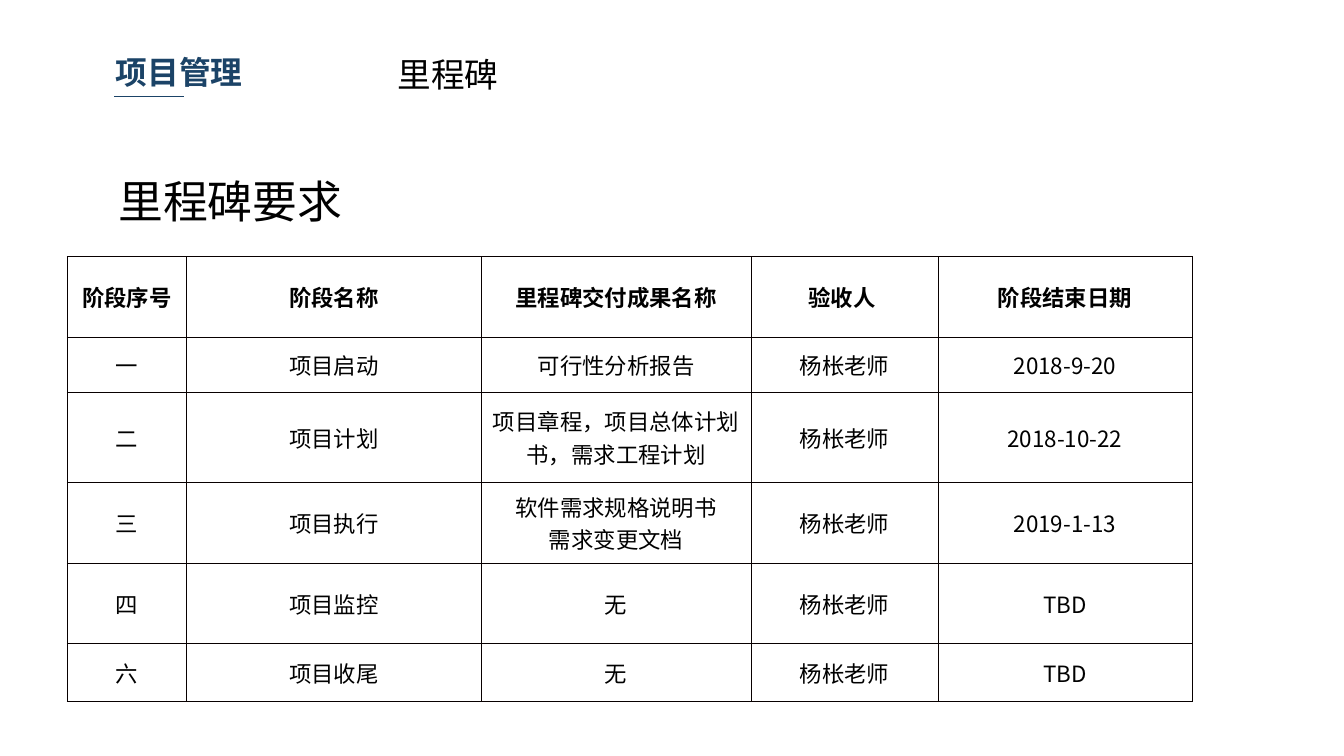
from lxml.etree import SubElement
from pptx import Presentation
from pptx.dml.color import RGBColor
from pptx.enum.shapes import MSO_CONNECTOR
from pptx.enum.text import MSO_ANCHOR, MSO_AUTO_SIZE, PP_ALIGN
from pptx.oxml.ns import qn
from pptx.util import Inches, Pt

FONT = "Noto Sans CJK SC"
NAVY, BLACK, BORDER = "1B4367", "000000", "080000"
SLIDE_WIDTH = Inches(10)
SLIDE_HEIGHT = SLIDE_WIDTH * 9 // 16

SECTION = ("项目管理", (0.78, 0.35, 2.47, 0.36), (0.08, 0.04), {"size": Pt(17), "bold": True}, NAVY)
TOPIC = ("里程碑", (2.86, 0.35, 3.3, 0.4), (0.1, 0.05), {"size": Pt(18), "bold": False}, BLACK)
HEADING = ("里程碑要求", (0.78, 1.24, 7.99, 0.9), (0.1, 0.05), {"size": Pt(24), "bold": False}, BLACK)
UNDERLINE = (0.85, 0.72, 1.37, 0.72)

REVIEWER = "杨枨老师"
HEADERS = ("阶段序号", "阶段名称", "里程碑交付成果名称", "验收人 ", "阶段结束日期")
STAGES = [
    ("一", "项目启动", "可行性分析报告", REVIEWER, "2018-9-20"),
    ("二", "项目计划", "项目章程，项目总体计划书，需求工程计划", REVIEWER, "2018-10-22"),
    ("三", "项目执行", "软件需求规格说明书\n需求变更文档", REVIEWER, "2019-1-13"),
    ("四", "项目监控", "无", REVIEWER, "TBD"),
    ("六", "项目收尾", "无", REVIEWER, "TBD"),
]
TABLE_LEFT, TABLE_TOP = 0.5, 1.91
COLUMN_WIDTHS = (0.89, 2.19, 2.01, 1.39, 1.89)
ROW_HEIGHTS = (0.6, 0.41, 0.67, 0.6, 0.6, 0.43)


def color(value):
    return RGBColor.from_string(value)


def apply(target, values):
    for name, value in values.items():
        setattr(target, name, value)


def margins(horizontal, vertical):
    return {
        "margin_left": Inches(horizontal), "margin_right": Inches(horizontal),
        "margin_top": Inches(vertical), "margin_bottom": Inches(vertical),
    }


def write(frame, text, alignment, font_values, font_color):
    frame.text = text
    for paragraph in frame.paragraphs:
        paragraph.alignment = alignment
        for run in paragraph.runs:
            apply(run.font, {"name": FONT, **font_values})
            run.font.color.rgb = color(font_color)
            SubElement(run.font._element, qn("a:ea"), typeface=FONT)


def place_text(shape, text, box, insets, font_values, font_color):
    apply(shape, dict(zip(("left", "top", "width", "height"), map(Inches, box))))
    apply(shape.text_frame, {
        **margins(*insets), "word_wrap": True,
        "auto_size": MSO_AUTO_SIZE.NONE, "vertical_anchor": MSO_ANCHOR.TOP,
    })
    write(shape.text_frame, text, PP_ALIGN.LEFT, font_values, font_color)


def add_label(slide, label):
    place_text(slide.shapes.add_textbox(0, 0, 0, 0), *label)


def add_underline(slide):
    line = slide.shapes.add_connector(MSO_CONNECTOR.STRAIGHT, *map(Inches, UNDERLINE))
    line.line.color.rgb = color(NAVY)
    line.line.width = Pt(0.75)
    SubElement(line._element.spPr, qn("a:effectLst"))


def format_cell(cell, text, bold):
    apply(cell, {**margins(0.08, 0.05), "vertical_anchor": MSO_ANCHOR.MIDDLE})
    write(cell.text_frame, text, PP_ALIGN.CENTER, {"size": Pt(12), "bold": bold}, BLACK)
    properties = cell._tc.get_or_add_tcPr()
    for side in ("lnL", "lnR", "lnT", "lnB"):
        border = SubElement(properties, qn(f"a:{side}"), w=str(Pt(0.45)))
        SubElement(SubElement(border, qn("a:solidFill")), qn("a:srgbClr"), val=BORDER)
    cell.fill.background()


def add_stage_table(slide):
    rows = [HEADERS, *STAGES]
    size = (sum(COLUMN_WIDTHS), sum(ROW_HEIGHTS))
    table = slide.shapes.add_table(
        len(rows), len(HEADERS), *map(Inches, (TABLE_LEFT, TABLE_TOP, *size))
    ).table
    apply(table, {"first_row": False, "horz_banding": False})
    for column, width in zip(table.columns, COLUMN_WIDTHS):
        column.width = Inches(width)
    for row, height in zip(table.rows, ROW_HEIGHTS):
        row.height = Inches(height)
    for row_index, texts in enumerate(rows):
        for column_index, text in enumerate(texts):
            format_cell(table.cell(row_index, column_index), text, row_index == 0)


def main():
    presentation = Presentation()
    apply(presentation, {"slide_width": SLIDE_WIDTH, "slide_height": SLIDE_HEIGHT})
    slide = presentation.slides.add_slide(presentation.slide_layouts.get_by_name("Title Only"))
    place_text(slide.shapes.title, *HEADING)
    add_label(slide, SECTION)
    add_underline(slide)
    add_stage_table(slide)
    add_label(slide, TOPIC)
    presentation.save("out.pptx")


if __name__ == "__main__":
    main()
